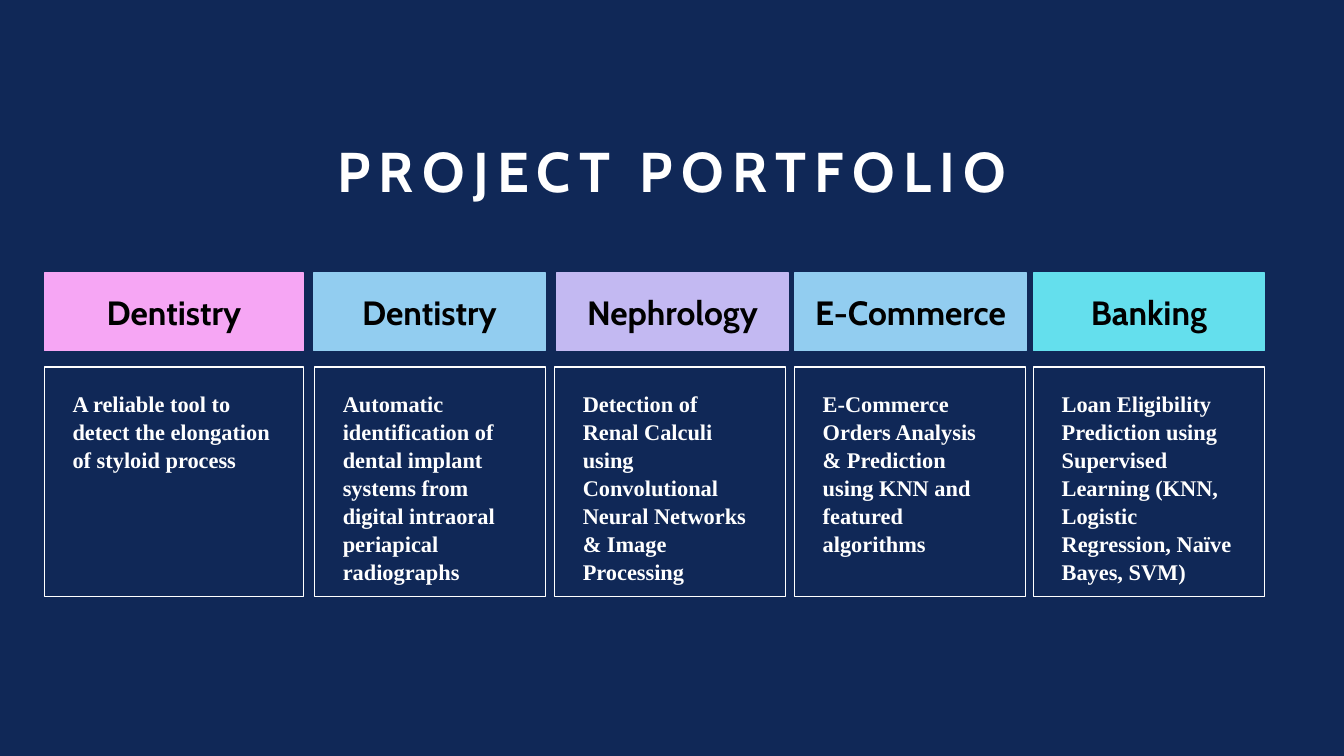
from pptx import Presentation
from pptx import util as u
from pptx.dml.color import RGBColor
from pptx.enum import shapes, text

COLORS = {
    "navy": "102857",
    "white": "FFFFFF",
    "black": "000000",
    "pink": "F6A6F4",
    "blue": "92CDF0",
    "lilac": "C3B9F2",
    "cyan": "64DFED",
}
HEADING_TOP, HEADING_HEIGHT = 2.71, 0.77
CARD_TOP, CARD_HEIGHT = 3.64, 2.28
CARD_MARGINS = (0.28, 0.22, 0.3, 0.05)

PROJECTS = [
    ("Dentistry", "pink", (0.44, 2.57), (0.44, 2.57),
     "A reliable tool to detect the elongation of styloid process"),
    ("Dentistry", "blue", (3.11, 2.3), (3.12, 2.29),
     "Automatic identification of dental implant systems from digital intraoral periapical radiographs"),
    ("Nephrology", "lilac", (5.52, 2.3), (5.5, 2.29),
     "Detection of Renal Calculi using Convolutional Neural Networks & Image Processing"),
    ("E-Commerce", "blue", (7.88, 2.3), (7.88, 2.29),
     "E-Commerce Orders Analysis & Prediction using KNN and featured algorithms"),
    ("Banking", "cyan", (10.25, 2.29), (10.25, 2.29),
     "Loan Eligibility Prediction using Supervised Learning (KNN, Logistic Regression, Naïve Bayes, SVM)"),
]


def rgb(name):
    return RGBColor.from_string(COLORS[name])


def write(box, words, font, size, color, align, anchor, spacing=None, margins=(0.1, 0.05, 0.1, 0.05)):
    frame = box.text_frame
    frame.word_wrap = True
    frame.vertical_anchor = anchor
    frame.margin_left, frame.margin_top, frame.margin_right, frame.margin_bottom = map(u.Inches, margins)
    para = frame.paragraphs[0]
    para.alignment = align
    para.line_spacing = spacing
    span = para.add_run()
    span.text = words
    span.font.name = font
    span.font.size = u.Pt(size)
    span.font.bold = True
    span.font.color.rgb = rgb(color)
    return span


def add_title(page, words):
    box = page.shapes.add_textbox(u.Inches(1.81), u.Inches(0.91), u.Inches(9.71), u.Inches(1.17))
    span = write(box, words, "Cabin", 40, "white", text.PP_ALIGN.CENTER, text.MSO_ANCHOR.BOTTOM, 0.9)
    span.font._element.set("spc", "600")


def add_panel(page, left, top, width, height, line, fill=None):
    panel = page.shapes.add_shape(
        shapes.MSO_SHAPE.RECTANGLE, u.Inches(left), u.Inches(top), u.Inches(width), u.Inches(height))
    panel.shadow.inherit = False
    panel.line.color.rgb = rgb(line)
    panel.line.width = u.Pt(1)
    if fill:
        panel.fill.solid()
        panel.fill.fore_color.rgb = rgb(fill)
    else:
        panel.fill.background()
    return panel


def add_heading(page, left, width, words, color):
    panel = add_panel(page, left, HEADING_TOP, width, HEADING_HEIGHT, color, color)
    write(panel, words, "Cabin", 24, "black", text.PP_ALIGN.CENTER, text.MSO_ANCHOR.MIDDLE)


def add_card(page, left, width, words):
    panel = add_panel(page, left, CARD_TOP, width, CARD_HEIGHT, "white")
    write(panel, words, "Times New Roman", 16, "white", text.PP_ALIGN.LEFT,
          text.MSO_ANCHOR.TOP, 1.04, CARD_MARGINS)


def main():
    deck = Presentation()
    deck.slide_width, deck.slide_height = u.Inches(13.33), u.Inches(7.5)
    page = deck.slides.add_slide(deck.slide_layouts[6])
    page.background.fill.solid()
    page.background.fill.fore_color.rgb = rgb("navy")
    add_title(page, "PROJECT PORTFOLIO")
    for field, color, heading_span, card_span, summary in PROJECTS:
        add_heading(page, *heading_span, field, color)
        add_card(page, *card_span, summary)
    deck.save("out.pptx")


if __name__ == "__main__":
    main()
